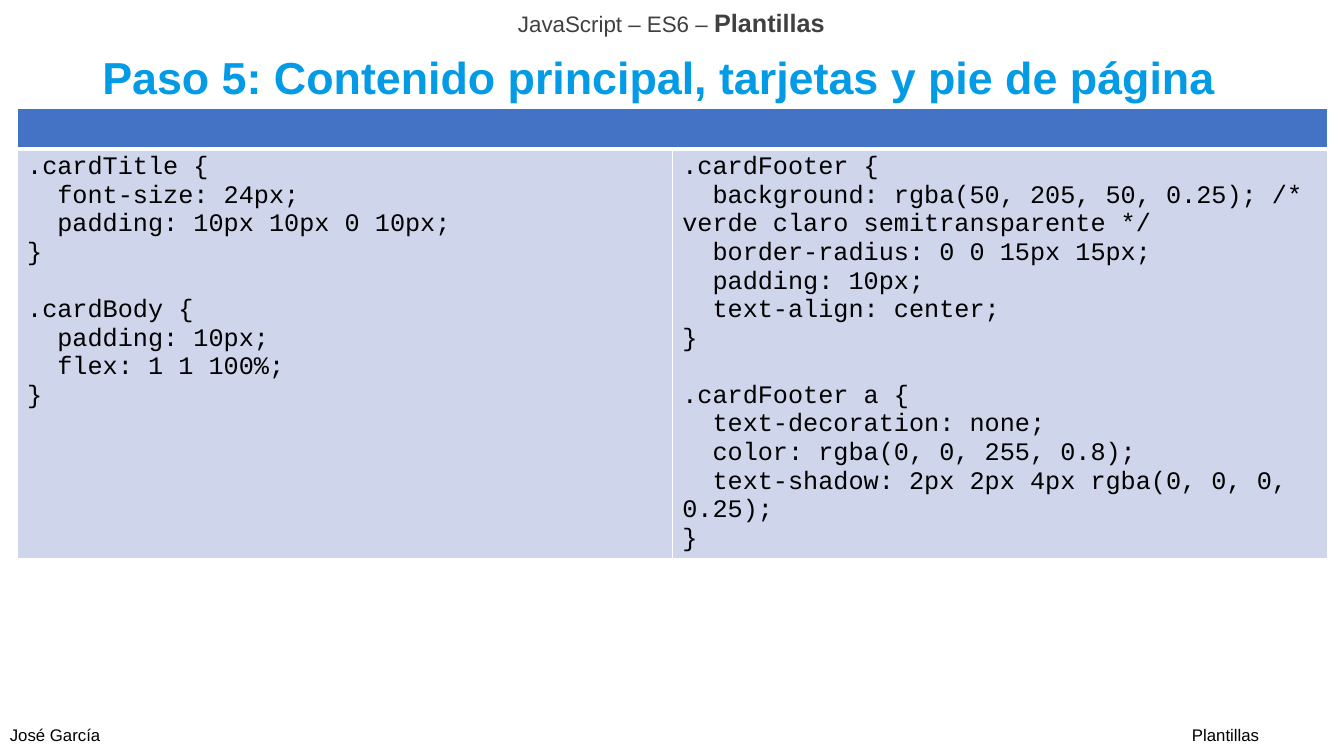
import pptx
import pptx.dml.color
import pptx.enum.text
import pptx.oxml
import pptx.oxml.ns
import pptx.util

Cm = pptx.util.Cm
Pt = pptx.util.Pt
ALIGN = pptx.enum.text.PP_ALIGN
LINE = 20.4  # height in points of one line of code

LEFT_CODE = [
    """.cardTitle {
  font-size: 24px;
  padding: 10px 10px 0 10px;
}""",
    """.cardBody {
  padding: 10px;
  flex: 1 1 100%;
}""",
]
RIGHT_CODE = [
    """.cardFooter {
  background: rgba(50, 205, 50, 0.25); /* verde claro semitransparente */
  border-radius: 0 0 15px 15px;
  padding: 10px;
  text-align: center;
}""",
    """.cardFooter a {
  text-decoration: none;
  color: rgba(0, 0, 255, 0.8);
  text-shadow: 2px 2px 4px rgba(0, 0, 0, 0.25);
}""",
]


def tint(color, value):
    color.rgb = pptx.dml.color.RGBColor.from_string(value)


def add_run(para, text, size, color="000000", bold=False, font="Arial"):
    run = para.add_run()
    run.text = text
    run.font.name = font
    run.font.size = Pt(size)
    run.font.bold = bold
    tint(run.font.color, color)


def add_box(slide, box, wrap=False):
    """Add a middle-anchored text box and return its paragraph."""
    frame = slide.shapes.add_textbox(*map(Cm, box)).text_frame
    frame.word_wrap = wrap
    frame.vertical_anchor = pptx.enum.text.MSO_ANCHOR.MIDDLE
    return frame.paragraphs[0]


def add_header(slide, box):
    para = add_box(slide, box)
    para.alignment = ALIGN.CENTER
    add_run(para, "JavaScript – ES6 – ", 16, "404040")
    add_run(para, "Plantillas", 18, "404040", True)


def add_title(slide, box):
    para = add_box(slide, box, True)
    para.line_spacing = 0.9
    text = "Paso 5: Contenido principal, tarjetas y pie de página"
    add_run(para, text, 32, "039BE5", True)


def add_footer(slide, box):
    """Place the author at the left and the topic at the right."""
    left, top, width, height = box
    notes = [("José García", left, 2.82), ("Plantillas", left + width - 2.21, 2.21)]
    for text, x, span in notes:
        add_run(add_box(slide, (x, top, span, height)), text, 12)


def add_edges(cell, low=1):
    """Draw white borders, the bottom one `low` points wide."""
    props = cell._tc.get_or_add_tcPr()
    for spot, side in enumerate("LRTB"):
        width = Pt(low if side == "B" else 1)
        props.insert(spot, pptx.oxml.parse_xml(
            f'<a:ln{side} {pptx.oxml.ns.nsdecls("a")} w="{width}"><a:solidFill>'
            f'<a:srgbClr val="FFFFFF"/></a:solidFill></a:ln{side}>'))


def fill_cell(cell, color):
    cell.fill.solid()
    tint(cell.fill.fore_color, color)


def add_code(cell, rules):
    """Write one paragraph a line, with a line's gap between rules."""
    frame = cell.text_frame
    para = frame.paragraphs[0]
    for rank, rule in enumerate(rules):
        for row, line in enumerate(rule.split("\n")):
            if rank or row:
                para = frame.add_paragraph()
            if rank and not row:
                para.space_before = Pt(LINE)
            add_run(para, line, 18, font="Courier New")


def add_listing(slide, box, head=1.03):
    left, top, width, height = map(Cm, box)
    table = slide.shapes.add_table(2, 2, left, top, width, height).table
    table.rows[0].height = Cm(head)
    table.rows[1].height = height - Cm(head)
    for col, rules in enumerate([LEFT_CODE, RIGHT_CODE]):
        table.columns[col].width = width // 2
        fill_cell(table.cell(0, col), "4472C4")
        add_edges(table.cell(0, col), 3)
        body = table.cell(1, col)
        fill_cell(body, "CFD5EA")
        add_edges(body)
        add_code(body, rules)
    table.cell(0, 0).merge(table.cell(0, 1))


def main():
    deck = pptx.Presentation()
    deck.slide_width, deck.slide_height = Cm(33.87), Cm(19.05)
    slide = deck.slides.add_slide(deck.slide_layouts[6])
    add_listing(slide, (0.43, 2.72, 33.02, 11.35))
    add_title(slide, (2.33, 1.02, 29.21, 1.97))
    add_header(slide, (12.68, 0.06, 8.48, 1.02))
    add_footer(slide, (0, 18.14, 32, 0.77))
    deck.save("out.pptx")


if __name__ == "__main__":
    main()
